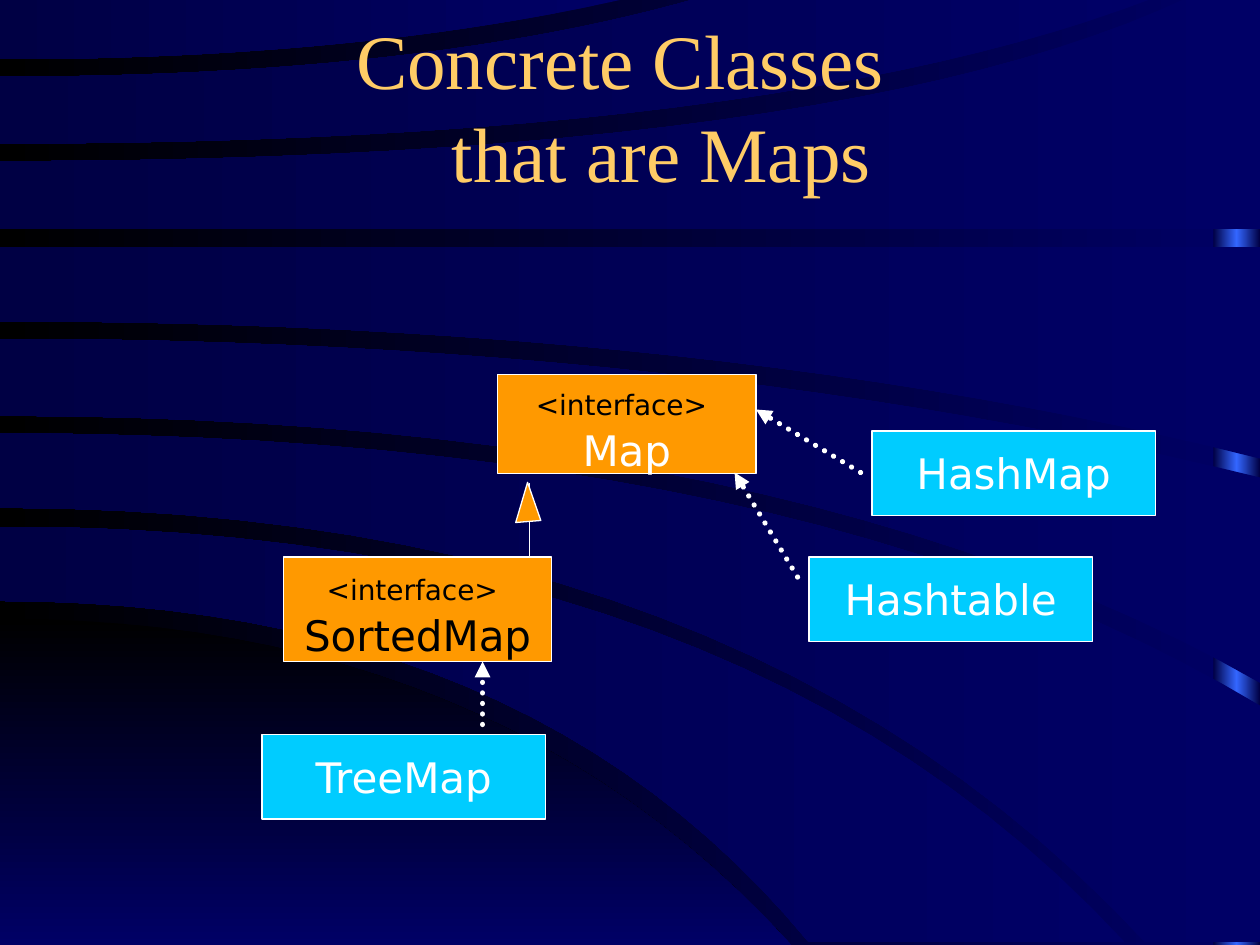
"""Build a slide showing the concrete classes that implement the Map interface."""
import copy
import pptx
import pptx.util
import pptx.dml.color
import pptx.enum.dml
import pptx.enum.shapes
import pptx.enum.text
import pptx.oxml.ns
import lxml.etree

Inches, Pt = pptx.util.Inches, pptx.util.Pt
SHAPE = pptx.enum.shapes.MSO_SHAPE
STRAIGHT = pptx.enum.shapes.MSO_CONNECTOR.STRAIGHT
CENTER = pptx.enum.text.PP_ALIGN.CENTER
MIDDLE = pptx.enum.text.MSO_ANCHOR.MIDDLE
qn = pptx.oxml.ns.qn


def rgb(value):
    return pptx.dml.color.RGBColor.from_string(value)


def set_gradient(fill, first, last, angle=180):
    fill.gradient()
    fill.gradient_angle = angle
    for stop, color, position in zip(fill.gradient_stops, (first, last), (0, 1)):
        stop.color.rgb = rgb(color)
        stop.position = position


prs = pptx.Presentation()
prs.slide_width, prs.slide_height = Inches(10), Inches(7.5)
s = prs.slides.add_slide(prs.slide_layouts[6])
set_gradient(s.background.fill, "000066", "000000")

stripe = s.shapes.add_shape(SHAPE.RECTANGLE, Inches(9.63), 0, Inches(0.37), Inches(7.5))
stripe.shadow.inherit = False
stripe.line.fill.background()
set_gradient(stripe.fill, "000044", "000044")
first_stop = next(stripe._element.iter(qn("a:gs")))
first_stop.addnext(copy.deepcopy(first_stop))
middle_stop = stripe.fill.gradient_stops[1]
middle_stop.position = 0.5
middle_stop.color.rgb = rgb("3366FF")

corner_fill = ("000000", "000066", 270)
band_fill = ("000066", "000044", 180)
bands = [
    ((4.91, 3.93, 6.28, 7.5), (7.5, 3.14, 6.28, 7.5), corner_fill),
    ((4.18, 5.88, 8.93, 7.48), (4.77, 4.19, 6.42, 7.48), band_fill),
    ((3.44, 6.4, 10, 5.6), (4.03, 5.9, 9.09, 7.48), band_fill),
    ((2.69, 5.52, 10, 3.79), (3.3, 6.3, 10, 5.42), band_fill),
    ((1.96, 5, 10, 1.96), (2.55, 5.7, 10, 3.64), band_fill),
    ((1.82, 5, 10, 1.82), (1.28, 6.68, 9.43, -0.02), band_fill),
    ((1.14, 6.16, 9.17, -0.02), (0.61, 3.38, 5.56, -0.02), band_fill),
    ((0.47, 2.86, 5.01, -0.02), (-0.02, 2.5, 5.01, -0.02), band_fill),
]
steps = 24
for near, far, gradient in bands:
    edges = []
    for start_y, bend_x, end_x, end_y in (near, far):
        edges.append([
            (Inches(2 * t * (1 - t) * bend_x + t * t * end_x),
             Inches(start_y + t * t * (end_y - start_y)))
            for t in (i / steps for i in range(steps + 1))])
    end_corner = (edges[0][-1][0], edges[1][-1][1])
    points = edges[0] + [end_corner] + edges[1][::-1]
    builder = s.shapes.build_freeform(*points[0])
    builder.add_line_segments(points[1:], close=True)
    sp = builder.convert_to_shape()
    sp.shadow.inherit = False
    sp.line.fill.background()
    set_gradient(sp.fill, *gradient)

title = s.shapes.add_textbox(Inches(0.75), Inches(0.42), Inches(8.5), Inches(0.83))
tf = title.text_frame
tf.word_wrap = True
tf.vertical_anchor = MIDDLE
p = tf.paragraphs[0]
p.text = "Concrete Classes \v\tthat are Maps"
p.alignment = CENTER
p.font.size = Pt(44)
p.font.name = "Times New Roman"
p.font.color.rgb = rgb("FFCC66")

boxes = [
    ("Map", 3.95, 2.97, 2.05, 0.79, "FF9900", "FFFFFF"),
    ("SortedMap", 2.25, 4.42, 2.13, 0.83, "FF9900", "000000"),
    ("TreeMap", 2.08, 5.83, 2.25, 0.67, "00CCFF", "FFFFFF"),
    ("Hashtable", 6.42, 4.42, 2.25, 0.67, "00CCFF", "FFFFFF"),
    ("HashMap", 6.92, 3.42, 2.25, 0.67, "00CCFF", "FFFFFF"),
]
for name, left, top, width, height, fill, color in boxes:
    sp = s.shapes.add_shape(
        SHAPE.RECTANGLE, Inches(left), Inches(top), Inches(width), Inches(height))
    sp.shadow.inherit = False
    sp.fill.solid()
    sp.fill.fore_color.rgb = rgb(fill)
    sp.line.color.rgb = rgb("FFFFFF")
    sp.line.width = Pt(0.75)
    tf = sp.text_frame
    tf.word_wrap = False
    tf.vertical_anchor = MIDDLE
    p = tf.paragraphs[0]
    if fill == "FF9900":
        p.alignment = CENTER
        for text, size, font in (("<interface>", 16, "DejaVu Sans"), (" ", 24, "Times New Roman")):
            r = p.add_run()
            r.text = text
            r.font.size = Pt(size)
            r.font.name = font
            r.font.color.rgb = rgb("000000")
        p = tf.add_paragraph()
    p.text = name
    p.alignment = CENTER
    p.font.size = Pt(24)
    p.font.name = "DejaVu Sans"
    p.font.color.rgb = rgb(color)

links = [
    (4.2, 4.41, 4.2, 3.83, False),
    (6.33, 4.58, 5.83, 3.75, True),
    (6.83, 3.75, 6, 3.25, True),
    (3.83, 5.75, 3.83, 5.25, True),
]
for x1, y1, x2, y2, implements in links:
    link = s.shapes.add_connector(STRAIGHT, Inches(x1), Inches(y1), Inches(x2), Inches(y2))
    link.line.color.rgb = rgb("FFFFFF")
    link.line.width = Pt(3 if implements else 0.75)
    if implements:
        link.line.dash_style = pptx.enum.dml.MSO_LINE.ROUND_DOT
        ln = link.line._get_or_add_ln()
        ln.set("cap", "rnd")
        lxml.etree.SubElement(ln, qn("a:tailEnd"), type="triangle")
    lxml.etree.SubElement(link._element.spPr, qn("a:effectLst"))

head = s.shapes.add_shape(
    SHAPE.ISOSCELES_TRIANGLE, Inches(4.08), Inches(3.83), Inches(0.2), Inches(0.31))
head.adjustments[0] = 0.6
head.rotation = 355.3
head.shadow.inherit = False
head.fill.solid()
head.fill.fore_color.rgb = rgb("FF9900")
head.line.color.rgb = rgb("FFFFFF")
head.line.width = Pt(0.75)

prs.save("out.pptx")
